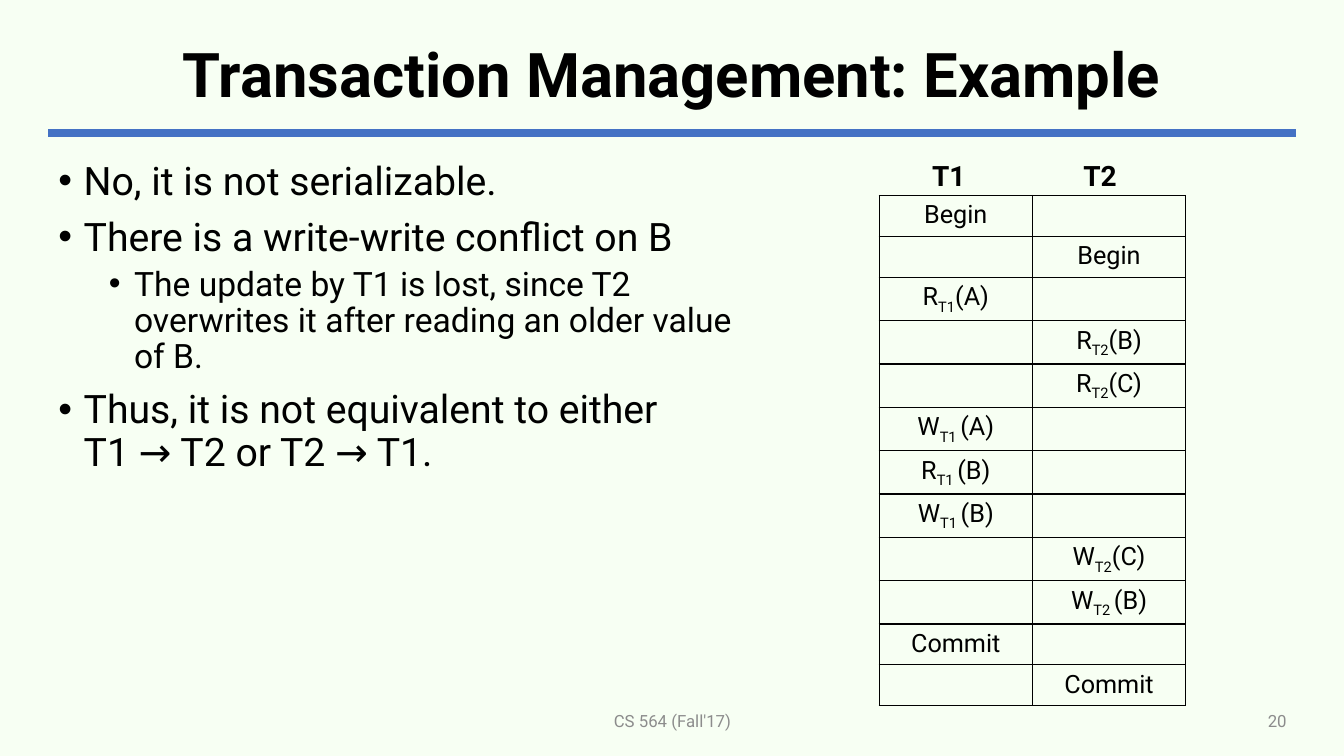
"""Builds a slide on a non-serializable transaction schedule."""
from lxml import etree
from pptx import Presentation
from pptx.dml.color import RGBColor
from pptx.enum.shapes import MSO_CONNECTOR
from pptx.enum.text import MSO_ANCHOR, MSO_AUTO_SIZE, PP_ALIGN
from pptx.oxml.ns import qn
from pptx.util import Inches, Pt

LEFT, CENTER, RIGHT = PP_ALIGN.LEFT, PP_ALIGN.CENTER, PP_ALIGN.RIGHT
TOP, MIDDLE = MSO_ANCHOR.TOP, MSO_ANCHOR.MIDDLE
STRAIGHT, NO_FIT = MSO_CONNECTOR.STRAIGHT, MSO_AUTO_SIZE.NONE

PAPER = RGBColor(0xF7, 0xFF, 0xF3)
BLACK = RGBColor(0x00, 0x00, 0x00)
BLUE = RGBColor(0x44, 0x72, 0xC4)
GRAY = RGBColor(0x8C, 0x8C, 0x8C)
FONT = "Roboto"

TITLE = "Transaction Management: Example"
POINTS = [
    (0, "No, it is not serializable."),
    (0, "There is a write-write conflict on B"),
    (1, "The update by T1 is lost, since T2 overwrites it after reading an older value of B."),
    (0, "Thus, it is not equivalent to either \vT1 → T2 or T2 → T1."),
]
LEVELS = [
    {"size": 28, "before": 10, "indent": 0.25},
    {"size": 24, "before": 5, "indent": 0.75},
]
TRANSACTIONS = ["T1", "T2"]
SCHEDULE = [
    (0, ["Begin"]),
    (1, ["Begin"]),
    (0, ["R", "T1", "(A)"]),
    (1, ["R", "T2", "(B)"]),
    (1, ["R", "T2", "(C)"]),
    (0, ["W", "T1 ", "(A)"]),
    (0, ["R", "T1 ", "(B)"]),
    (0, ["W", "T1 ", "(B)"]),
    (1, ["W", "T2", "(C)"]),
    (1, ["W", "T2 ", "(B)"]),
    (0, ["Commit"]),
    (1, ["Commit"]),
]
FOOTER, PAGE_NUMBER = "CS 564 (Fall'17)", "20"

WIDTH, HEIGHT = 13.33, 7.5
MARGIN, RULE_Y = 0.48, 1.32
CONTENT_WIDTH = WIDTH - 2 * MARGIN
TABLE_LEFT, TABLE_TOP, COLUMN = 8.72, 1.94, 1.52
PLAIN_ROW, SUBSCRIPT_ROW = 0.4, 0.43


def write(para, parts, size=18, color=BLACK, bold=False, align=LEFT, spacing=None, before=0, indent=None):
    """Fill a paragraph; every second part is a subscript."""
    para.alignment = align
    para.space_before = Pt(before)
    if spacing:
        para.line_spacing = spacing
    for index, part in enumerate(parts):
        for number, line in enumerate(part.split("\v")):
            if number:
                para.add_line_break()
            span = para.add_run()
            span.text = line
            font = span.font
            font.name, font.size, font.bold = FONT, Pt(size), bold
            font.color.rgb = color
            if index % 2:
                span._r.get_or_add_rPr().set("baseline", "-25000")
    if indent is not None:
        properties = para._p.get_or_add_pPr()
        properties.set("marL", str(Inches(indent)))
        properties.set("indent", str(Inches(-0.25)))
        etree.SubElement(properties, qn("a:buFont")).set("typeface", "Arial")
        etree.SubElement(properties, qn("a:buChar")).set("char", "•")


def prepare(box, left, top, width, height, anchor=TOP):
    """Place a text shape and return its frame."""
    box.left, box.top, box.width, box.height = map(Inches, (left, top, width, height))
    frame = box.text_frame
    frame.word_wrap, frame.auto_size, frame.vertical_anchor = True, NO_FIT, anchor
    return frame


def add_label(page, text, place, anchor=TOP, **style):
    """Add a one-line text box."""
    box = page.shapes.add_textbox(0, 0, 0, 0)
    write(prepare(box, *place, anchor).paragraphs[0], [text], **style)


def outline(cell):
    """Give a cell thin black borders and no fill."""
    properties = cell._tc.get_or_add_tcPr()
    for side in ("lnL", "lnR", "lnT", "lnB"):
        line = etree.SubElement(properties, qn("a:" + side), w=str(Pt(1)))
        fill = etree.SubElement(line, qn("a:solidFill"))
        etree.SubElement(fill, qn("a:srgbClr"), val=str(BLACK))
    cell.fill.background()


def add_schedule(page):
    """Add the schedule table with its column headings."""
    columns = len(TRANSACTIONS)
    heights = [SUBSCRIPT_ROW if len(parts) > 1 else PLAIN_ROW for _, parts in SCHEDULE]
    table = page.shapes.add_table(
        len(SCHEDULE), columns, Inches(TABLE_LEFT), Inches(TABLE_TOP),
        Inches(columns * COLUMN), Inches(sum(heights))).table
    table.first_row = table.horz_banding = False
    for row, (active, parts) in enumerate(SCHEDULE):
        table.rows[row].height = Inches(heights[row])
        for column in range(columns):
            cell = table.cell(row, column)
            outline(cell)
            if column == active:
                write(cell.text_frame.paragraphs[0], parts, align=CENTER)
    for column, name in enumerate(TRANSACTIONS):
        place = (TABLE_LEFT + 0.25 + column * 1.5, 1.27, 0.88, 0.67)
        add_label(page, name, place, size=20, bold=True, align=CENTER, spacing=Pt(42))


def main():
    deck = Presentation()
    deck.slide_width, deck.slide_height = Inches(WIDTH), Inches(HEIGHT)
    page = deck.slides.add_slide(deck.slide_layouts[1])
    page.background.fill.solid()
    page.background.fill.fore_color.rgb = PAPER

    rule = page.shapes.add_connector(
        STRAIGHT, Inches(MARGIN), Inches(RULE_Y), Inches(WIDTH - MARGIN), Inches(RULE_Y))
    rule.line.color.rgb, rule.line.width = BLUE, Pt(6)
    etree.SubElement(rule._element.spPr, qn("a:effectLst"))

    title, body = page.placeholders
    frame = prepare(title, MARGIN, 0.21, CONTENT_WIDTH, RULE_Y - 0.21, MIDDLE)
    write(frame.paragraphs[0], [TITLE], size=44, bold=True, align=CENTER, spacing=0.9)

    frame = prepare(body, MARGIN, 1.55, 6.89, 5.21)
    for index, (level, text) in enumerate(POINTS):
        para = frame.add_paragraph() if index else frame.paragraphs[0]
        para.level = level
        write(para, [text], spacing=0.9, **LEVELS[level])

    add_schedule(page)
    add_label(page, FOOTER, (4.42, 6.95, 4.5, 0.4), MIDDLE, size=12, color=GRAY, align=CENTER)
    add_label(page, PAGE_NUMBER, (9.42, 6.95, 3.44, 0.4), MIDDLE, size=12, color=GRAY, align=RIGHT)
    deck.save("out.pptx")


if __name__ == "__main__":
    main()
